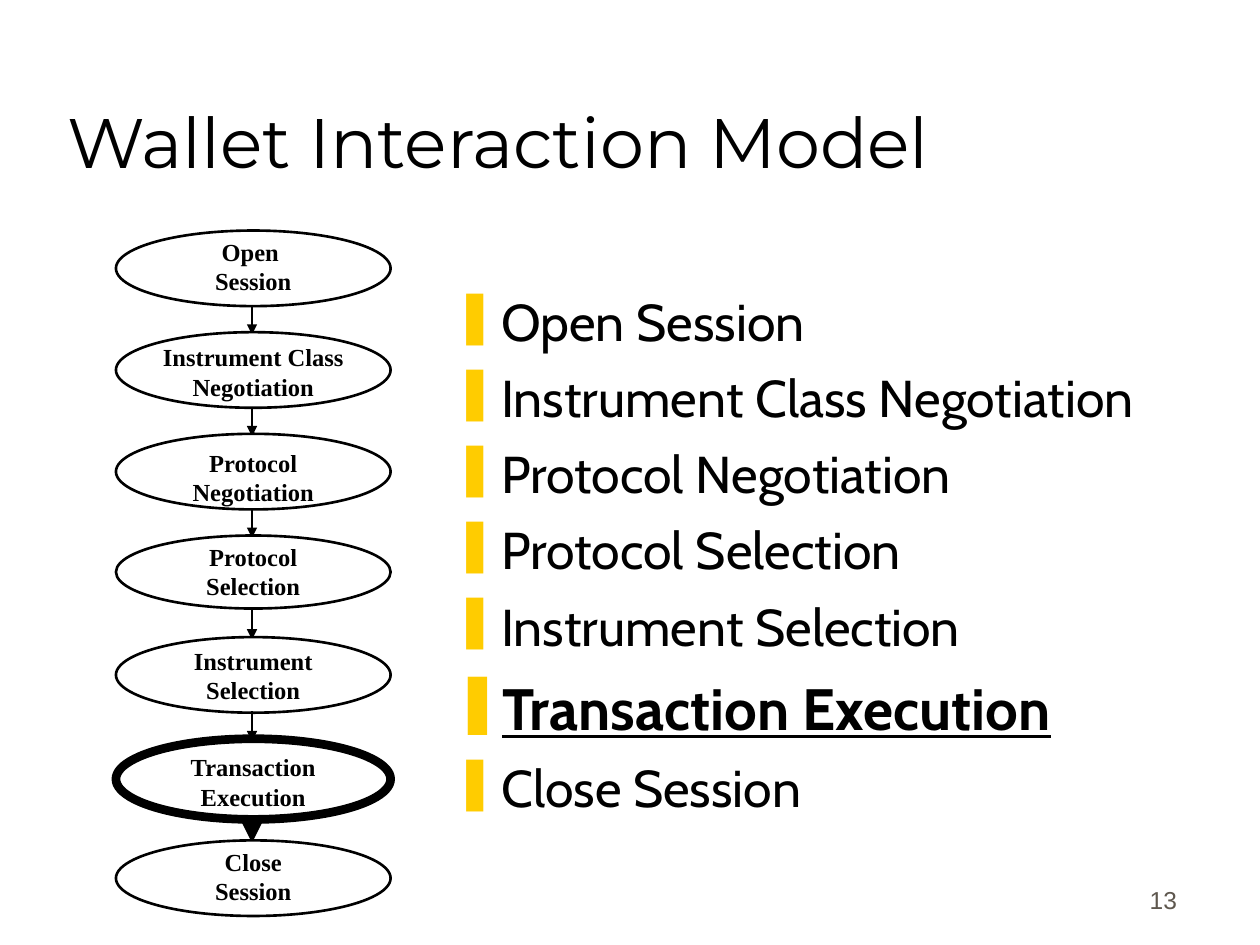
"""Build the Wallet Interaction Model slide: a chain of steps beside its bullet list."""
from dataclasses import dataclass

from lxml.etree import SubElement
from pptx import Presentation
from pptx.dml.color import RGBColor
from pptx.enum.shapes import MSO_CONNECTOR, MSO_SHAPE
from pptx.enum.text import MSO_ANCHOR, MSO_AUTO_SIZE, PP_ALIGN
from pptx.oxml.ns import qn
from pptx.util import Inches, Pt


@dataclass(frozen=True)
class Theme:
    ink: RGBColor = RGBColor(0, 0, 0)
    paper: RGBColor = RGBColor(255, 255, 255)
    muted: RGBColor = RGBColor(0x5E, 0x57, 0x4E)
    bullet: str = "FFCC00"
    title: tuple = ("Montserrat", 40)
    body: tuple = ("Cabin", 29.6)
    strong: tuple = ("Cabin", 33.3)
    label: tuple = ("Times New Roman", 14)
    number: tuple = ("Arial", 14)
    outline: float = 1.5
    arrow: float = 1
    heavy: float = 5


THEME = Theme()
TITLE = "Wallet Interaction Model"
PAGE = "13"
CURRENT = "Transaction Execution"
STEPS = [  # name, label lines, label drop, ellipse height
    ("Open Session", "Open \nSession", 0, 0.6),
    ("Instrument Class Negotiation", "Instrument Class\nNegotiation", 0.03, 0.6),
    ("Protocol Negotiation", "Protocol\nNegotiation", 0.06, 0.6),
    ("Protocol Selection", "Protocol\nSelection", 0, 0.58),
    ("Instrument Selection", "Instrument\nSelection", 0.02, 0.6),
    (CURRENT, "Transaction\nExecution", 0.06, 0.64),
    ("Close Session", "Close\nSession", 0, 0.6),
]
LEFT, FIRST, LAST, WIDTH, AXIS = 0.92, 1.83, 6.67, 2.18, 2
PITCH = (LAST - FIRST) / (len(STEPS) - 1)


def style(p, font, color=THEME.ink, bold=False, underline=False):
    for r in p.runs:
        r.font.name, r.font.size = font[0], Pt(font[1])
        r.font.color.rgb = color
        r.font.bold, r.font.underline = bold, underline


def add_text(s, box, text, font, color=THEME.ink, bold=False,
             align=PP_ALIGN.LEFT, anchor=MSO_ANCHOR.TOP):
    tf = s.shapes.add_textbox(*map(Inches, box)).text_frame
    tf.word_wrap, tf.vertical_anchor = True, anchor
    tf.text = text
    for p in tf.paragraphs:
        p.alignment = align
        style(p, font, color, bold)
    return tf


def add_bullet(p):
    pPr = p._p.get_or_add_pPr()
    pPr.set("marL", str(Inches(0.38)))
    pPr.set("indent", str(-Inches(0.38)))
    SubElement(SubElement(pPr, qn("a:buClr")), qn("a:srgbClr"), val=THEME.bullet)
    SubElement(pPr, qn("a:buChar"), char="❚")


def add_ellipse(s, top, height, weight):
    sp = s.shapes.add_shape(MSO_SHAPE.OVAL, *map(Inches, (LEFT, top, WIDTH, height)))
    sp.shadow.inherit = False
    sp.fill.solid()
    sp.fill.fore_color.rgb = THEME.paper
    sp.line.color.rgb = THEME.ink
    sp.line.width = Pt(weight)


def add_arrow(s, start, end, weight):
    points = map(Inches, (AXIS, start, AXIS, end))
    cx = s.shapes.add_connector(MSO_CONNECTOR.STRAIGHT, *points)
    cx.line.color.rgb = THEME.ink
    cx.line.width = Pt(weight)
    SubElement(cx.line._get_or_add_ln(), qn("a:tailEnd"), type="triangle")
    SubElement(cx._element.spPr, qn("a:effectLst"))


def add_chain(s):
    for i, (name, _, _, height) in enumerate(STEPS):
        top, current = FIRST + i * PITCH, name == CURRENT
        add_ellipse(s, top, height, THEME.heavy if current else THEME.outline)
        if i < len(STEPS) - 1:
            add_arrow(s, top + height - 0.01, top + PITCH + 0.02,
                      THEME.heavy if current else THEME.arrow)
    for i, (_, label, drop, _) in enumerate(STEPS):
        tf = add_text(s, (LEFT, FIRST + i * PITCH + drop, WIDTH, 0.57), label,
                      THEME.label, bold=True, align=PP_ALIGN.CENTER)
        tf.auto_size = MSO_AUTO_SIZE.SHAPE_TO_FIT_TEXT


def add_list(s):
    tf = add_text(s, (3.5, 2.25, 6.5, 4.56), "\n".join(step[0] for step in STEPS), THEME.body)
    for p in tf.paragraphs:
        current = p.text == CURRENT
        p.space_before = Pt(9 if current else 8)
        add_bullet(p)
        if current:
            style(p, THEME.strong, bold=True, underline=True)


def main():
    prs = Presentation()
    prs.slide_width, prs.slide_height = Inches(10), Inches(7.5)
    s = prs.slides.add_slide(prs.slide_layouts[6])
    add_text(s, (7.36, 6.81, 2.08, 0.5), PAGE, THEME.number, THEME.muted,
             align=PP_ALIGN.RIGHT, anchor=MSO_ANCHOR.BOTTOM)
    add_text(s, (0.44, 0.25, 8.5, 1.25), TITLE, THEME.title, anchor=MSO_ANCHOR.BOTTOM)
    add_list(s)
    add_chain(s)
    prs.save("out.pptx")


if __name__ == "__main__":
    main()
